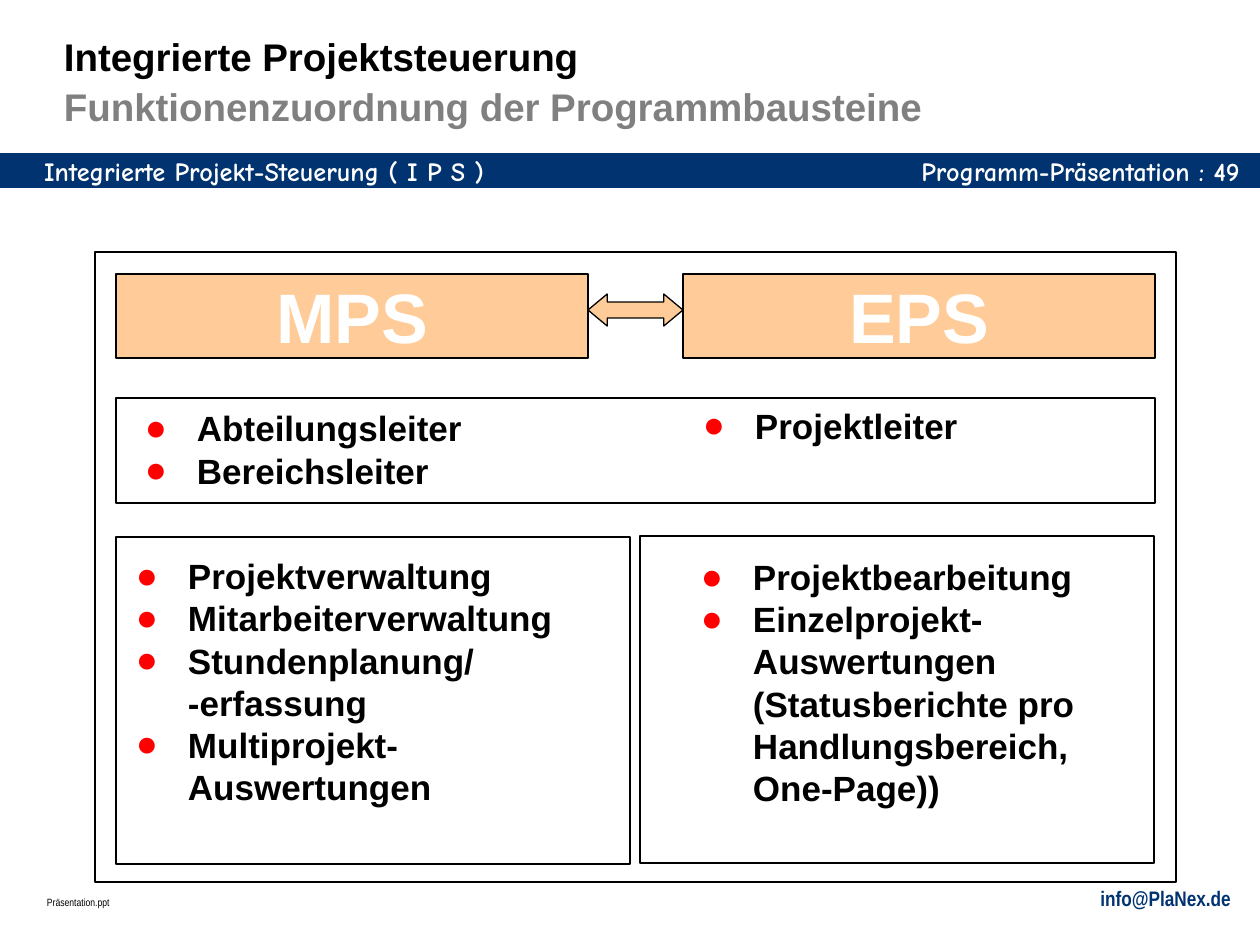
import lxml.etree
import pptx
import pptx.dml.color
import pptx.enum.shapes
import pptx.enum.text
import pptx.oxml.ns
import pptx.util

PX = 914400 / 126
COLORS = {
    "navy": "003370",
    "peach": "FFCC99",
    "black": "000000",
    "gray": "808080",
    "white": "FFFFFF",
    "red": "FF0000",
}
ALIGN = pptx.enum.text.PP_ALIGN
ANCHOR = pptx.enum.text.MSO_ANCHOR
SHAPE = pptx.enum.shapes.MSO_SHAPE
qn = pptx.oxml.ns.qn


def emu(*lengths):
    return [round(length * PX) for length in lengths]


def style(paragraph, font, size, bold, color=None):
    paragraph.font.name = font
    paragraph.font.size = pptx.util.Pt(size)
    paragraph.font.bold = bold
    if color:
        paragraph.font.color.rgb = pptx.dml.color.RGBColor.from_string(COLORS[color])


deck = pptx.Presentation()
deck.slide_width, deck.slide_height = emu(1260, 945)
page = deck.slides.add_slide(deck.slide_layouts[6])

# Header bar, frames, programme blocks and the arrow between them
shapes = [
    (SHAPE.RECTANGLE, (0, 155, 1260, 31), "navy", "navy", 2, None),
    (SHAPE.RECTANGLE, (95, 252, 1081, 630), None, "black", 0.75, None),
    (SHAPE.RECTANGLE, (116, 398, 1039, 105), None, "black", 0.75, None),
    (SHAPE.RECTANGLE, (116, 537, 514, 327), None, "black", 0.75, None),
    (SHAPE.RECTANGLE, (640, 536, 514, 327), None, "black", 0.75, None),
    (SHAPE.RECTANGLE, (116, 274, 472, 84), "peach", "black", 0.75, "MPS"),
    (SHAPE.RECTANGLE, (683, 274, 472, 84), "peach", "black", 0.75, "EPS"),
    (SHAPE.LEFT_RIGHT_ARROW, (588, 294, 95, 32), "peach", "black", 0.75, None),
]
for kind, area, fill, line, width, label in shapes:
    shape = page.shapes.add_shape(kind, *emu(*area))
    shape.shadow.inherit = False
    if fill:
        shape.fill.solid()
        shape.fill.fore_color.rgb = pptx.dml.color.RGBColor.from_string(COLORS[fill])
    else:
        shape.fill.background()
    shape.line.color.rgb = pptx.dml.color.RGBColor.from_string(COLORS[line])
    shape.line.width = pptx.util.Pt(width)
    if kind == SHAPE.LEFT_RIGHT_ARROW:
        shape.adjustments[0] = 0.5
        shape.adjustments[1] = 0.6
    if label:
        frame = shape.text_frame
        frame.margin_left = frame.margin_top = frame.margin_right = frame.margin_bottom = 0
        frame.vertical_anchor = ANCHOR.MIDDLE
        para = frame.paragraphs[0]
        para.text = label
        para.alignment = ALIGN.CENTER
        style(para, "Arial", 40, True, "white")

# Title in two colours
box = page.shapes.add_textbox(*emu(64, 66, 1148, 63))
frame = box.text_frame
frame.word_wrap = True
frame.vertical_anchor = ANCHOR.BOTTOM
frame.margin_left = frame.margin_top = frame.margin_right = frame.margin_bottom = 0
para = frame.paragraphs[0]
para.line_spacing = pptx.util.Pt(28.5)
style(para, "Arial", 22, True)
span = para.add_run()
span.text = "Integrierte Projektsteuerung"
span.font.color.rgb = pptx.dml.color.RGBColor.from_string(COLORS["black"])
para.add_line_break()
span = para.add_run()
span.text = "Funktionenzuordnung der Programmbausteine"
span.font.color.rgb = pptx.dml.color.RGBColor.from_string(COLORS["gray"])

# Header and footer lines
captions = [
    ("Integrierte Projekt-Steuerung ( I P S )", (44, 155, 1216, 31), ALIGN.LEFT, "Comic Neue", 15, True, "white"),
    ("Programm-Präsentation : 49", (749, 155, 491, 31), ALIGN.RIGHT, "Comic Neue", 15, True, "white"),
    ("info@PlaNex.de", (742, 886, 489, 25), ALIGN.RIGHT, "Arial Narrow", 12, True, "navy"),
    ("Präsentation.ppt", (47, 896, 489, 13), ALIGN.LEFT, "Arial Narrow", 6, False, "black"),
]
for text, area, alignment, font, size, bold, color in captions:
    box = page.shapes.add_textbox(*emu(*area))
    frame = box.text_frame
    frame.word_wrap = True
    frame.margin_left = frame.margin_top = frame.margin_right = frame.margin_bottom = 0
    para = frame.paragraphs[0]
    para.text = text
    para.alignment = alignment
    style(para, font, size, bold, color)

# Bullet lists: users above, functions below
lists = [
    ((145, 407, 340, 84), ["Abteilungsleiter", "Bereichsleiter"]),
    ((703, 404, 280, 42), ["Projektleiter"]),
    ((136, 555, 514, 252), [
        "Projektverwaltung",
        "Mitarbeiterverwaltung",
        "Stundenplanung/\v-erfassung",
        "Multiprojekt-\vAuswertungen",
    ]),
    ((701, 556, 437, 252), [
        "Projektbearbeitung",
        "Einzelprojekt-Auswertungen\v(Statusberichte pro Handlungsbereich,\vOne-Page))",
    ]),
]
INDENT = emu(52)[0]
for area, items in lists:
    box = page.shapes.add_textbox(*emu(*area))
    frame = box.text_frame
    frame.word_wrap = True
    frame.margin_left = frame.margin_top = frame.margin_right = frame.margin_bottom = 0
    for index, item in enumerate(items):
        para = frame.add_paragraph() if index else frame.paragraphs[0]
        para.text = item
        properties = para._p.get_or_add_pPr()
        properties.set("marL", str(INDENT))
        properties.set("indent", str(-INDENT))
        bullet_color = lxml.etree.SubElement(properties, qn("a:buClr"))
        lxml.etree.SubElement(bullet_color, qn("a:srgbClr"), val=COLORS["red"])
        lxml.etree.SubElement(properties, qn("a:buSzPct"), val="105000")
        lxml.etree.SubElement(properties, qn("a:buFont"), typeface="Arial")
        lxml.etree.SubElement(properties, qn("a:buChar"), char="●")
        style(para, "Arial", 20, True, "black")

deck.save("out.pptx")
